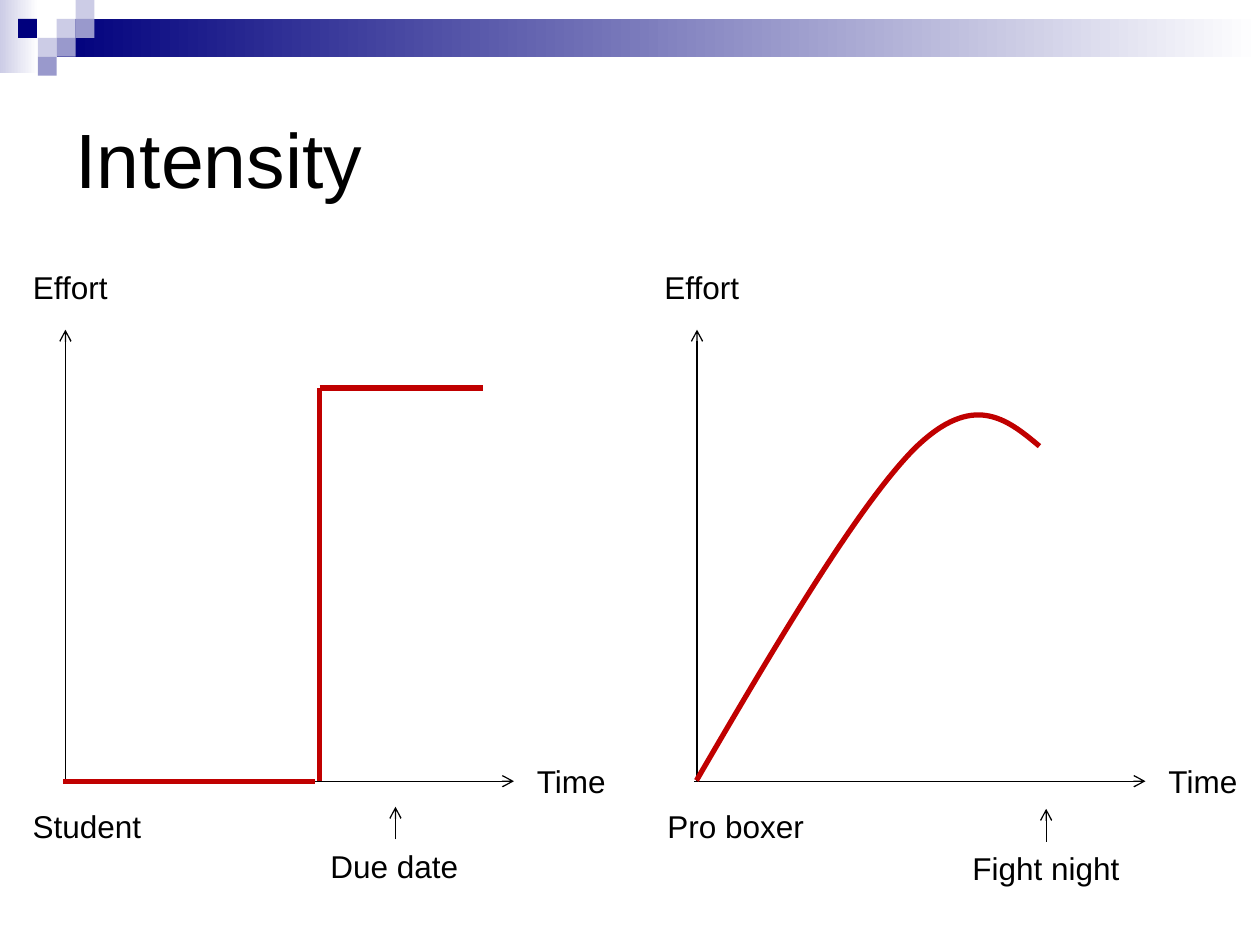
from dataclasses import dataclass

from lxml import etree
from pptx import Presentation
from pptx.dml.color import RGBColor
from pptx.enum.shapes import MSO_CONNECTOR, MSO_SHAPE
from pptx.enum.text import MSO_ANCHOR, MSO_AUTO_SIZE, PP_ALIGN
from pptx.oxml.ns import qn
from pptx.util import Pt


@dataclass(frozen=True)
class Theme:
    font: str = "Arial"
    ink: str = "000000"
    paper: str = "FFFFFF"
    navy: str = "00007D"
    mid: str = "9999CC"
    pale: str = "CCCCE6"
    effort: str = "C00000"
    title_size: float = 44
    label_size: float = 18
    axis_width: float = 0.75
    effort_width: float = 3


class SlideBuilder:
    def __init__(self, slide, theme):
        self.slide = slide
        self.shapes = slide.shapes
        self.theme = theme

    def style_text(self, paragraph, size):
        paragraph.alignment = PP_ALIGN.LEFT
        font = paragraph.font
        font.name = self.theme.font
        font.size = Pt(size)
        font.color.rgb = RGBColor.from_string(self.theme.ink)

    def title(self, text, left, top, width, height):
        title = self.shapes.title
        title.left, title.top = Pt(left), Pt(top)
        title.width, title.height = Pt(width), Pt(height)
        frame = title.text_frame
        frame.text = text
        frame.auto_size = MSO_AUTO_SIZE.NONE
        frame.vertical_anchor = MSO_ANCHOR.MIDDLE
        self.style_text(frame.paragraphs[0], self.theme.title_size)

    def label(self, text, left, top, width):
        box = self.shapes.add_textbox(Pt(left), Pt(top), Pt(width), Pt(29))
        frame = box.text_frame
        frame.word_wrap = False
        frame.auto_size = MSO_AUTO_SIZE.SHAPE_TO_FIT_TEXT
        frame.text = text
        self.style_text(frame.paragraphs[0], self.theme.label_size)

    def rect(self, left, top, width, height, color, fade_to=None):
        rect = self.shapes.add_shape(
            MSO_SHAPE.RECTANGLE, Pt(left), Pt(top), Pt(width), Pt(height))
        rect.shadow.inherit = False
        rect.line.fill.background()
        if fade_to is None:
            rect.fill.solid()
            rect.fill.fore_color.rgb = RGBColor.from_string(color)
            return
        rect.fill.gradient()
        rect.fill.gradient_angle = 0
        for stop, shade, position in zip(rect.fill.gradient_stops, (color, fade_to), (0, 1)):
            stop.color.rgb = RGBColor.from_string(shade)
            stop.position = position

    def stroke(self, shape, color, width):
        shape.line.color.rgb = RGBColor.from_string(color)
        shape.line.width = Pt(width)

    def line(self, x1, y1, x2, y2, color, width):
        line = self.shapes.add_connector(
            MSO_CONNECTOR.STRAIGHT, Pt(x1), Pt(y1), Pt(x2), Pt(y2))
        self.stroke(line, color, width)
        etree.SubElement(line.element.spPr, qn("a:effectLst"))
        return line

    def arrow(self, x1, y1, x2, y2):
        line = self.line(x1, y1, x2, y2, self.theme.ink, self.theme.axis_width)
        outline = line.element.spPr.find(qn("a:ln"))
        etree.SubElement(outline, qn("a:tailEnd"), type="arrow")

    def effort_line(self, x1, y1, x2, y2):
        self.line(x1, y1, x2, y2, self.theme.effort, self.theme.effort_width)

    def effort_curve(self, start, controls):
        builder = self.shapes.build_freeform(*start, scale=Pt(1))
        builder.add_line_segments(controls, close=False)
        curve = builder.convert_to_shape()
        curve.shadow.inherit = False
        curve.fill.background()
        self.stroke(curve, self.theme.effort, self.theme.effort_width)
        path = next(curve.element.iter(qn("a:path")))
        segments = path.findall(qn("a:lnTo"))
        for first in range(0, len(segments), 3):
            bezier = etree.SubElement(path, qn("a:cubicBezTo"))
            for segment in segments[first:first + 3]:
                bezier.append(segment[0])
                path.remove(segment)

    def axes(self, origin, base):
        self.arrow(origin - 1.5, base, origin + 256.3, base)
        self.arrow(origin, base, origin, base - 258)
        self.label("Time", origin + 262.3, base - 14.4, 54)
        self.label("Effort", origin - 25.7, base - 296.6, 60)

    def event(self, text, arrow_x, tip, left, width):
        self.label(text, left, tip + 19.2, width)
        self.arrow(arrow_x, tip + 18.7, arrow_x, tip)


theme = Theme()
prs = Presentation()
prs.slide_width, prs.slide_height = Pt(720), Pt(540)
slide = prs.slides.add_slide(prs.slide_layouts[5])
page = SlideBuilder(slide, theme)

page.rect(0, 0, 22, 42, theme.pale, theme.paper)
page.rect(32.4, 10.8, 687.6, 21.6, theme.navy, theme.paper)
TILE = 10.8
for column, row, color in (
    (3, 1, theme.pale), (4, 0, theme.pale), (4, 1, theme.mid),
    (2, 2, theme.pale), (1, 1, theme.navy), (3, 2, theme.mid), (2, 3, theme.mid),
):
    page.rect(column * TILE - (0.5 if column == 1 else 0), row * TILE, TILE, TILE, color)

page.title("Intensity", 36, 36, 648, 108)

BASE = 446.4
STUDENT, BOXER = 37.4, 398.3
for origin in (STUDENT, BOXER):
    page.axes(origin, BASE)

JUMP, PEAK = 182.7, 221.8
page.effort_line(STUDENT - 1.4, BASE, 180, BASE)
page.effort_line(JUMP, PEAK, 276, PEAK)
page.effort_line(JUMP, PEAK, JUMP, BASE)
page.event("Due date", 226, 461, 181.7, 88.3)

page.event("Fight night", 597.8, 462.2, 548.6, 99)
page.effort_curve((BOXER, BASE), (
    (444.5, 367.2), (490.8, 288), (523.4, 255.9),
    (556, 223.8), (574.9, 239.2), (593.6, 254.7),
))

page.label("Student", 11.6, 457.5, 77)
page.label("Pro boxer", 374.3, 457.5, 93.2)

prs.save("out.pptx")
